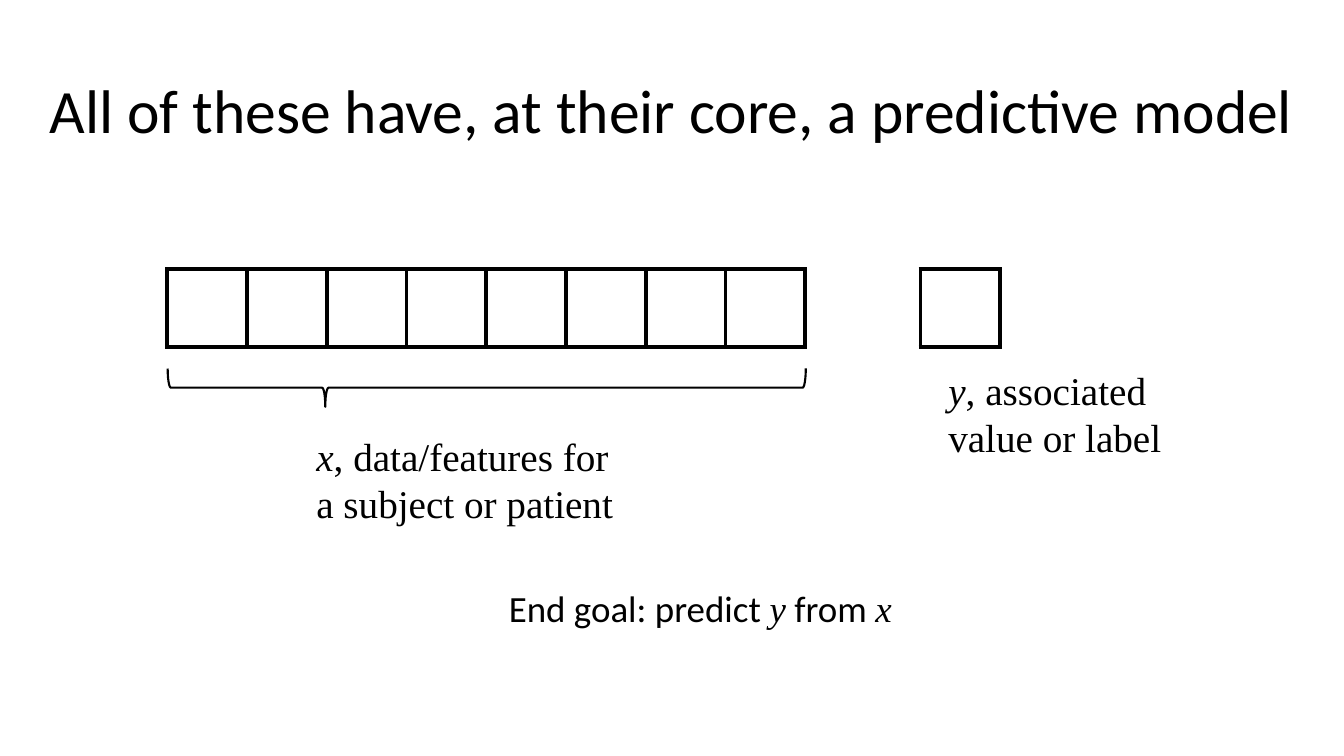
"""Build the slide on the predictive model that maps features x to a label y."""
from lxml.etree import SubElement
from pptx import Presentation
from pptx.dml.color import RGBColor
from pptx.enum.shapes import MSO_SHAPE
from pptx.enum.text import MSO_ANCHOR, PP_ALIGN
from pptx.oxml import parse_xml
from pptx.oxml.ns import nsdecls
from pptx.util import Pt

BLACK = "000000"
SANS, SERIF = "Calibri", "Times New Roman"


def color(hex_value):
    return RGBColor.from_string(hex_value)


def add_text(left, top, width, height, size, runs, wrap=True):
    box = slide.shapes.add_textbox(Pt(left), Pt(top), Pt(width), Pt(height))
    box.text_frame.word_wrap = wrap
    for text, font_name, italic in runs:
        run = box.text_frame.paragraphs[0].add_run()
        run.text = text
        run.font.name = font_name
        run.font.size = Pt(size)
        run.font.italic = italic
        run.font.color.rgb = color(BLACK)
    return box.text_frame


prs = Presentation()
prs.slide_width, prs.slide_height = Pt(960), Pt(540)
slide = prs.slides.add_slide(prs.slide_layouts[6])

brace = slide.shapes.add_shape(MSO_SHAPE.LEFT_BRACE, Pt(334), Pt(49), Pt(27.4), Pt(455.8))
brace.rotation = 270
brace.adjustments[0], brace.adjustments[1] = 0.083, 0.247
brace.shadow.inherit = False
brace.fill.background()
brace.line.color.rgb = color(BLACK)
brace.line.width = Pt(1.5)

add_text(218.9, 305.3, 235.4, 75, 28,
         [("x", SERIF, True), (", data/features for a subject or patient", SERIF, False)])
add_text(670.3, 257.8, 210.2, 75, 28,
         [("y", SERIF, True), (", associated value or label", SERIF, False)])
title = add_text(0, 28.8, 960, 104.4, 44,
                 [("All of these have, at their core, a predictive model", SANS, False)])
title.vertical_anchor = MSO_ANCHOR.MIDDLE
title.paragraphs[0].alignment = PP_ALIGN.CENTER
title.paragraphs[0].line_spacing = 0.9
add_text(356.4, 414.7, 295.2, 38.9, 26.4,
         [("End goal: predict ", SANS, False), ("y", SERIF, True),
          (" from ", SANS, False), ("x", SERIF, True)], wrap=False)

cell_width, cell_height = 56.97, 55.8
for left, count in ((119.5, 8), (657.4, 1)):
    vector = slide.shapes.add_table(1, count, Pt(left), Pt(192.2),
                                    Pt(cell_width * count), Pt(cell_height)).table
    vector.first_row = vector.horz_banding = False
    for column in vector.columns:
        column.width = Pt(cell_width)
    for cell in vector.iter_cells():
        properties = cell._tc.get_or_add_tcPr()
        for side in ("lnL", "lnR", "lnT", "lnB"):
            border = parse_xml(f'<a:{side} {nsdecls("a")} w="{Pt(3)}"><a:solidFill/></a:{side}>')
            SubElement(border[0], border[0].tag.replace("solidFill", "srgbClr"), val=BLACK)
            properties.append(border)
        cell.fill.background()

prs.save("out.pptx")
